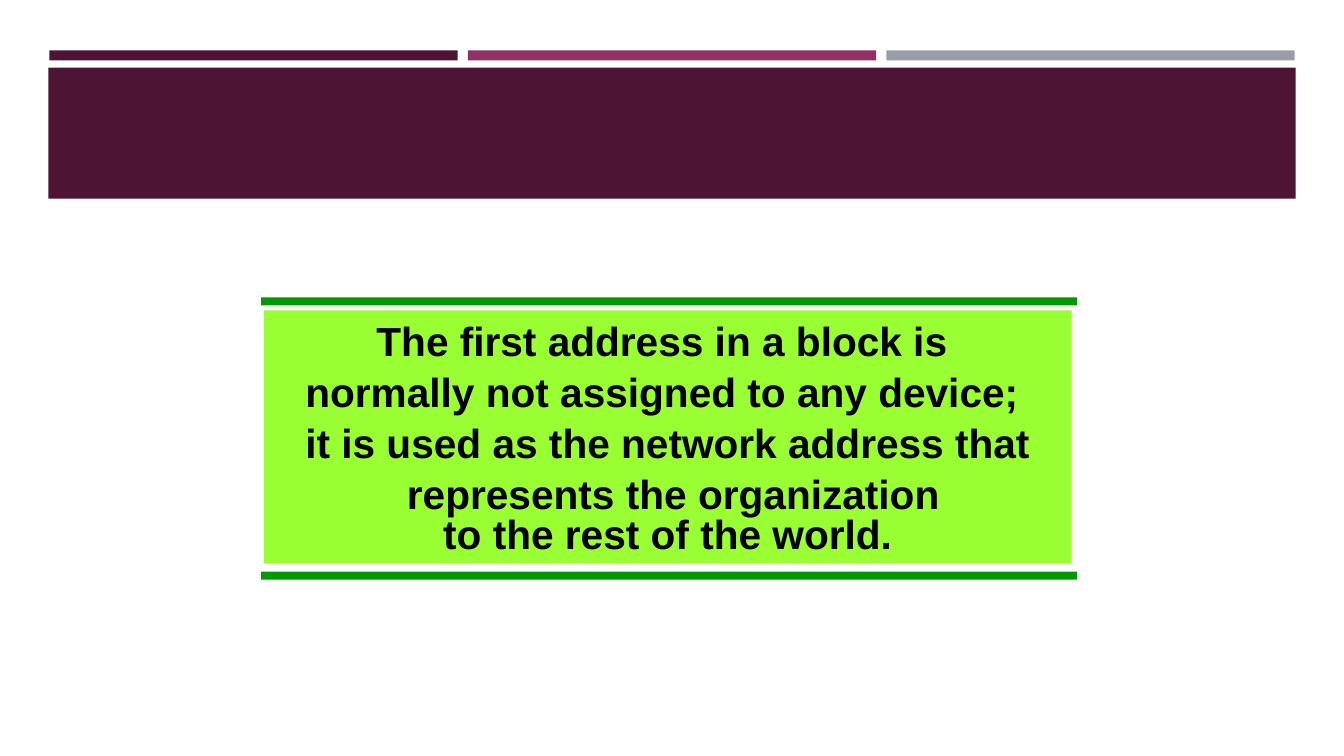
from pptx import Presentation
from pptx.dml.color import RGBColor
from pptx.enum.shapes import MSO_SHAPE as Shape
from pptx.enum.text import MSO_ANCHOR as Anchor, PP_ALIGN as Align
from pptx.util import Inches, Pt

PLUM, MAGENTA, GREY = "4D1434", "903163", "969FA7"
GREEN, LIME, BLACK = "009900", "99FF33", "000000"

# Header grid: three columns with equal gaps
HEADER_LEFT, COLUMN_WIDTH, COLUMN_STEP = 0.49, 4.05, 4.15

# Callout: a panel between two rules
PANEL_LEFT, PANEL_TOP, PANEL_WIDTH, PANEL_HEIGHT = 2.62, 3.08, 8.01, 2.51
RULE_LEFT, RULE_WIDTH, RULE_HEIGHT = 2.59, 8.09, 0.08

STATEMENT = (
    "The first address in a block is \v"
    "normally not assigned to any device; \v"
    "it is used as the network address that\v"
    " represents the organization"
)
ENDING = "to the rest of the world."


def color(hex_code):
    return RGBColor.from_string(hex_code)


def add_bar(slide, left, top, width, height, fill):
    shape = slide.shapes.add_shape(
        Shape.RECTANGLE, Inches(left), Inches(top), Inches(width), Inches(height)
    )
    shape.shadow.inherit = False
    shape.fill.solid()
    shape.fill.fore_color.rgb = color(fill)
    shape.line.fill.background()
    return shape


def write_paragraph(paragraph, text, line_spacing, space_before=0):
    paragraph.text = text
    paragraph.alignment = Align.CENTER
    paragraph.line_spacing = line_spacing
    paragraph.space_before = Pt(space_before)
    font = paragraph.font
    font.name, font.size, font.bold = "Arial", Pt(29), True
    font.color.rgb = color(BLACK)


def add_header(slide):
    for column, fill in enumerate((PLUM, MAGENTA, GREY)):
        left = HEADER_LEFT + column * COLUMN_STEP
        add_bar(slide, left, 0.5, COLUMN_WIDTH, 0.1, fill)
    add_bar(slide, 0.48, 0.67, 12.37, 1.3, PLUM)


def add_callout(slide):
    for top in (2.95, 5.67):
        add_bar(slide, RULE_LEFT, top, RULE_WIDTH, RULE_HEIGHT, GREEN)

    panel = add_bar(slide, PANEL_LEFT, PANEL_TOP, PANEL_WIDTH, PANEL_HEIGHT, LIME)
    frame = panel.text_frame
    frame.word_wrap = True
    frame.vertical_anchor = Anchor.TOP
    frame.margin_left = frame.margin_right = frame.margin_bottom = 0
    frame.margin_top = Inches(0.03)
    write_paragraph(frame.paragraphs[0], STATEMENT, 1.05, space_before=2.5)
    write_paragraph(frame.add_paragraph(), ENDING, Pt(28.4))


def main():
    presentation = Presentation()
    presentation.slide_width = Inches(13.33)
    presentation.slide_height = Inches(7.5)
    slide = presentation.slides.add_slide(presentation.slide_layouts[6])
    add_header(slide)
    add_callout(slide)
    presentation.save("out.pptx")


if __name__ == "__main__":
    main()
